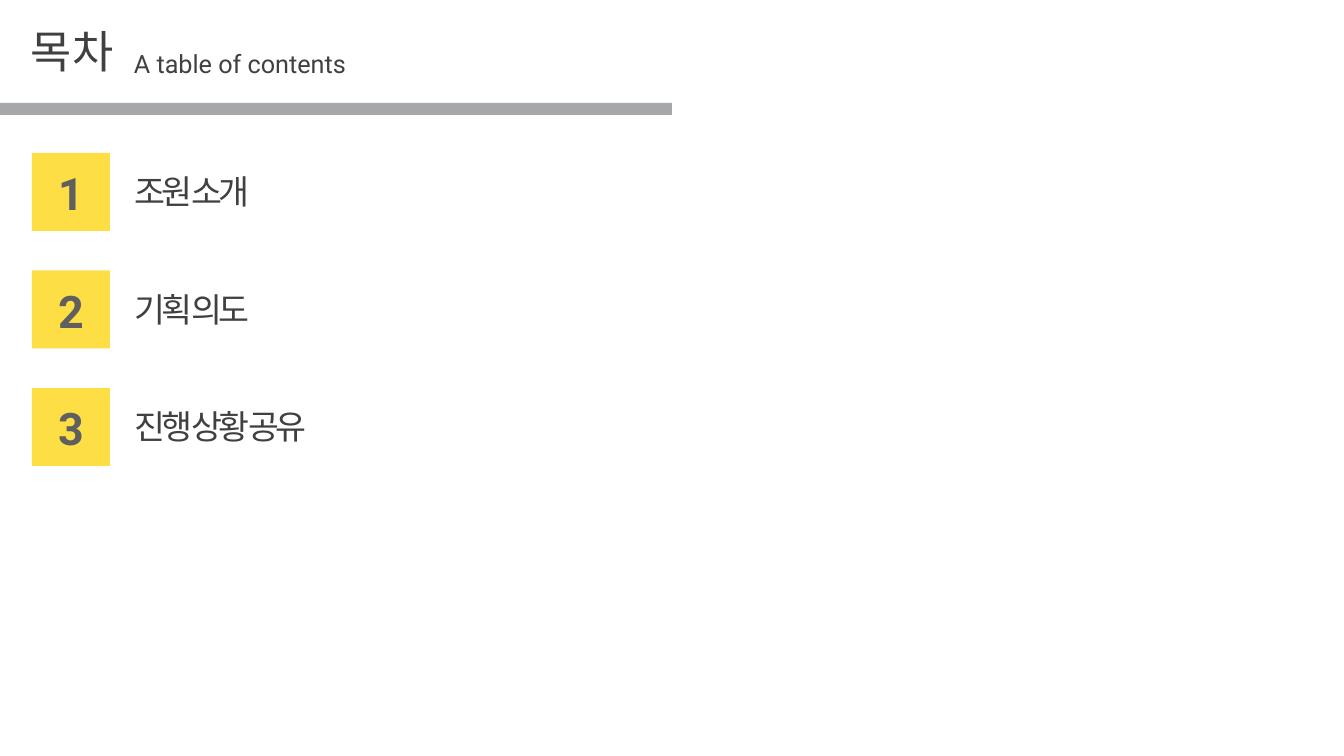
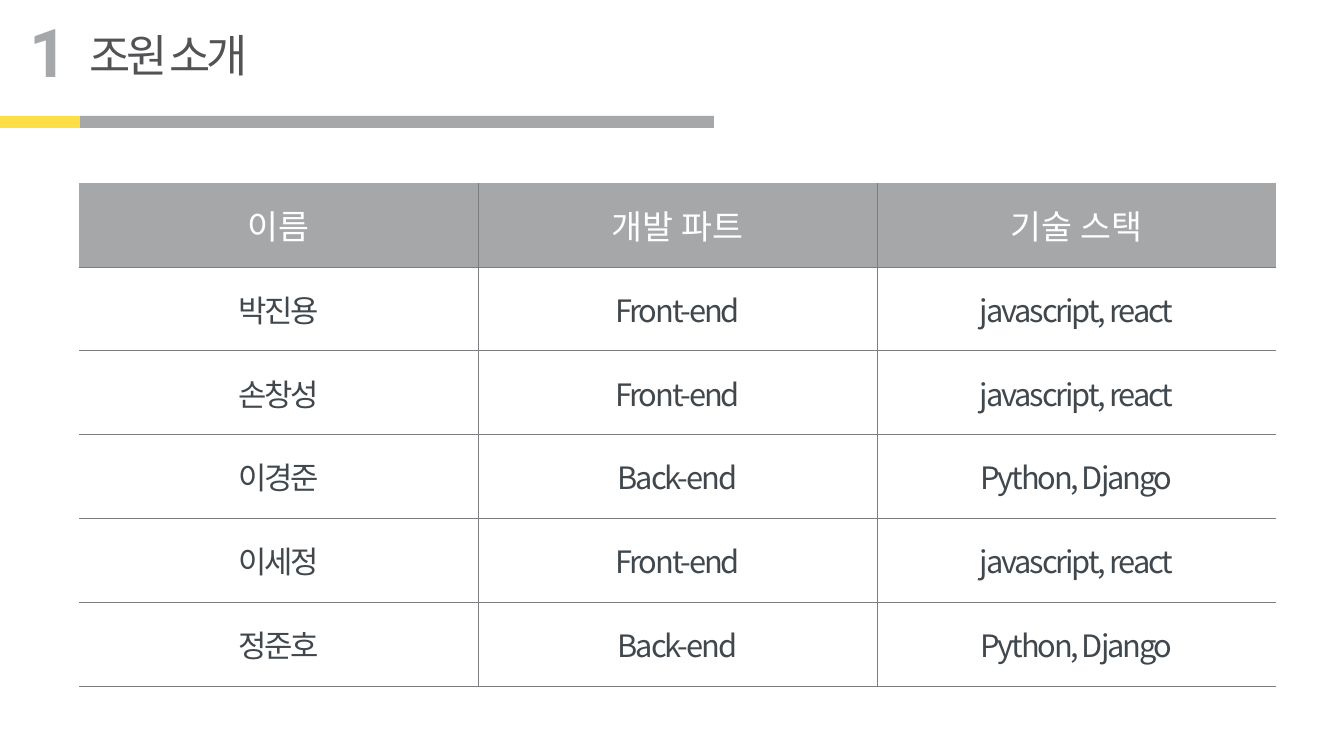
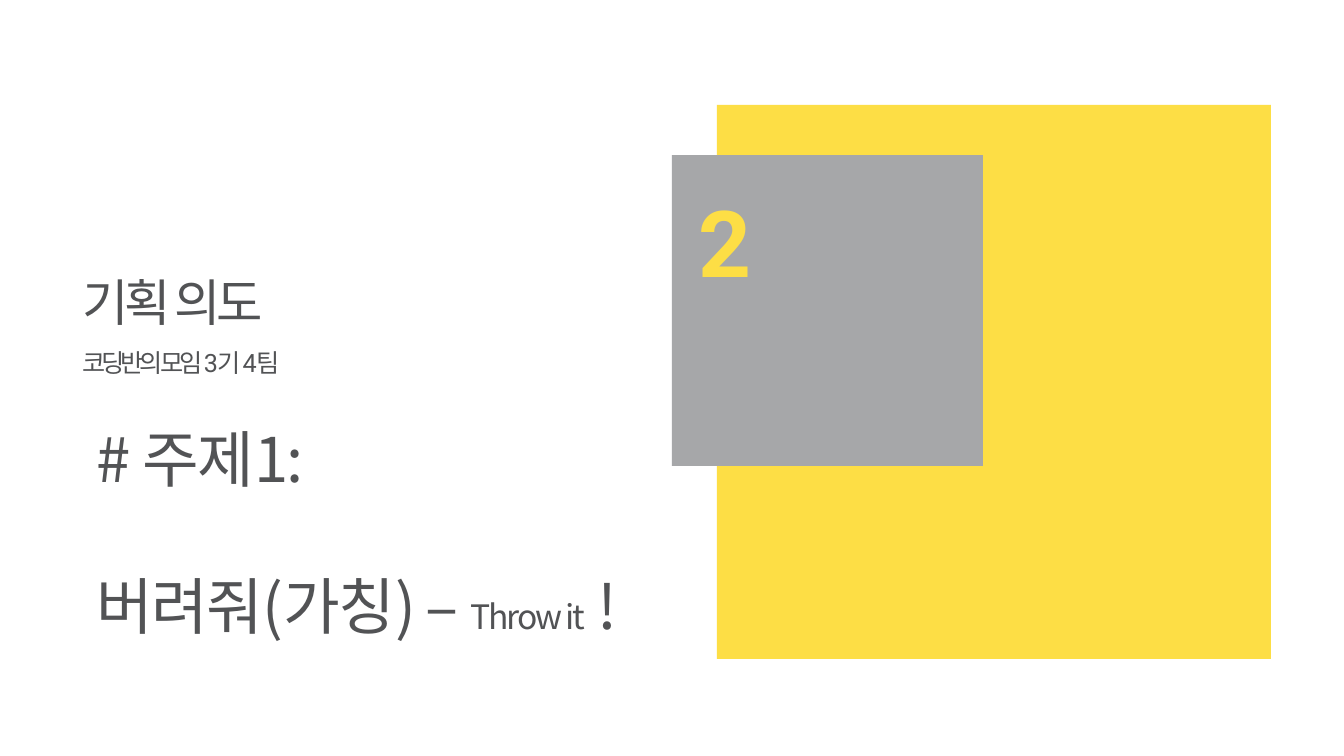
from lxml import etree
from pptx import Presentation
from pptx.dml.color import RGBColor
from pptx.enum.shapes import MSO_SHAPE
from pptx.enum.text import MSO_ANCHOR, MSO_AUTO_SIZE, PP_ALIGN
from pptx.oxml.ns import qn
from pptx.util import Emu, Pt

# Content
CONTENTS_TITLE = ("목차", "A table of contents")
SECTIONS = ["조원 소개", "기획 의도", "진행 상황 공유"]
HEADINGS = ("이름", "개발 파트", "기술 스택")
MEMBERS = [
    ("박진용", "Front-end", "javascript, react"),
    ("손창성", "Front-end", "javascript, react"),
    ("이경준", "Back-end", "Python, Django"),
    ("이세정", "Front-end", "javascript, react"),
    ("정준호", "Back-end", "Python, Django"),
]
TEAM = "코딩반의 모임 3기 4팀"
TOPIC = "# 주제1:"
TOPIC_NAME = ("버려줘(가칭) – ", "Throw it", " !")

# Shared look
YELLOW = RGBColor(0xFD, 0xDE, 0x45)
GRAY = RGBColor(0xA6, 0xA7, 0xA9)
DARK = RGBColor(0x40, 0x40, 0x40)
BADGE_TEXT = RGBColor(0x5F, 0x5F, 0x5F)
TITLE_TEXT = RGBColor(0x52, 0x53, 0x55)
CELL_TEXT = RGBColor(0x40, 0x47, 0x4D)
RULE = RGBColor(0x7B, 0x7D, 0x80)
WHITE = RGBColor(0xFF, 0xFF, 0xFF)
LATIN, KOREAN = "Roboto", "Noto Sans CJK KR"
EMU_PER_PX = 914400 / 100.8
BAR_H = 12


def px(*values):
    return [Emu(round(v * EMU_PER_PX)) for v in values]


def add_run(p, text, size, color, bold=False, name=LATIN, spacing=0):
    r = p.add_run()
    r.text = text
    for key, value in {"size": Pt(size), "bold": bold, "name": name}.items():
        setattr(r.font, key, value)
    r.font.color.rgb = color
    rPr = r._r.get_or_add_rPr()
    if spacing:
        rPr.set("spc", str(round(spacing * 100)))
    rPr.find(qn("a:latin")).addnext(
        etree.Element(qn("a:ea"), typeface=KOREAN))


def add_text(shapes, box, text, size, color, wrap=False,
             align=PP_ALIGN.LEFT, **fmt):
    tf = shapes.add_textbox(*px(*box)).text_frame
    tf.word_wrap = wrap
    tf.auto_size = MSO_AUTO_SIZE.SHAPE_TO_FIT_TEXT
    p = tf.paragraphs[0]
    p.alignment = align
    add_run(p, text, size, color, **fmt)
    return tf


def add_rect(shapes, box, color):
    sp = shapes.add_shape(MSO_SHAPE.RECTANGLE, *px(*box))
    sp.shadow.inherit = False
    sp.fill.solid()
    sp.fill.fore_color.rgb = color
    sp.line.fill.background()


def set_borders(cell, edges):
    tcPr = cell._tc.get_or_add_tcPr()
    for edge, shown in edges.items():
        ln = etree.SubElement(tcPr, qn(f"a:ln{edge}"), w=str(Pt(0.5)))
        if shown:
            fill = etree.SubElement(ln, qn("a:solidFill"))
            etree.SubElement(fill, qn("a:srgbClr"), val=str(RULE))
        else:
            etree.SubElement(ln, qn("a:noFill"))


def add_grid(shapes, rows, left, top, col_w, row_h):
    cols = len(rows[0])
    table = shapes.add_table(len(rows), cols, *px(
        left, top, col_w * cols, row_h * len(rows))).table
    table.horz_banding = False
    table.first_row = rows[0] == HEADINGS
    for i, row in enumerate(rows):
        header = row == HEADINGS
        for j, text in enumerate(row):
            cell = table.cell(i, j)
            set_borders(cell, {"L": j > 0, "R": j < cols - 1,
                               "T": not header, "B": True})
            cell.fill.solid()
            cell.fill.fore_color.rgb = GRAY if header else WHITE
            cell.vertical_anchor = MSO_ANCHOR.MIDDLE
            p = cell.text_frame.paragraphs[0]
            p.alignment = PP_ALIGN.CENTER
            size, color, spacing = ((24, WHITE, 0) if header
                                    else (22, CELL_TEXT, -1.5))
            add_run(p, text, size, color, name=KOREAN, spacing=spacing)


prs = Presentation()
prs.slide_width, prs.slide_height = px(1344, 756)
contents, members, intent = [
    prs.slides.add_slide(prs.slide_layouts[6]).shapes for _ in range(3)]

# Contents: heading and numbered sections
add_rect(contents, (0, 103, 672, BAR_H), GRAY)
title, subtitle = CONTENTS_TITLE
add_text(contents, (21, 19, 103, 64), title, 32, DARK)
add_text(contents, (124, 43, 357, 40), subtitle, 18, DARK, wrap=True)
BADGE, BADGE_TOP, PITCH = 78, 153, 117.5
for i, section in enumerate(SECTIONS):
    y = BADGE_TOP + i * PITCH
    item = contents.add_group_shape().shapes
    add_rect(item, (32, y, BADGE, BADGE), YELLOW)
    add_text(item, (48, y + 8, 46, 64), str(i + 1), 32, BADGE_TEXT,
             align=PP_ALIGN.CENTER, bold=True)
    add_text(item, (125, y + 13, 278, 50), section, 24, DARK, wrap=True,
             spacing=-3)

# Members: heading and table, with the last member in a table of its own
add_rect(members, (80, 116, 634, BAR_H), GRAY)
add_rect(members, (0, 116, 80, BAR_H), YELLOW)
add_text(members, (80, 23, 193, 64), SECTIONS[0], 32, TITLE_TEXT, spacing=-3)
add_text(members, (20, 5, 58, 92), "1", 48, GRAY, bold=True)
GRID_LEFT, GRID_TOP, COL_W, ROW_H = 79, 183, 399, 83.9
main_rows = [HEADINGS] + MEMBERS[:-1]
add_grid(members, main_rows, GRID_LEFT, GRID_TOP, COL_W, ROW_H)
add_grid(members, MEMBERS[-1:], GRID_LEFT,
         GRID_TOP + ROW_H * len(main_rows), COL_W, ROW_H)

# Intent: section divider with the topic
add_rect(intent, (717, 105, 554, 554), YELLOW)
add_rect(intent, (672, 155, 311, 311), GRAY)
add_text(intent, (73, 266, 217, 72), SECTIONS[1], 36, TITLE_TEXT, spacing=-3)
add_text(intent, (73, 342, 269, 40), TEAM, 18, TITLE_TEXT, wrap=True,
         spacing=-3)
add_text(intent, (689, 180, 74, 122), "2", 66, YELLOW, bold=True)
topic_fmt = {"name": KOREAN, "spacing": -1.5}
tf = add_text(intent, (87, 416, 675, 234), TOPIC, 44, TITLE_TEXT, wrap=True,
              **topic_fmt)
p = tf.add_paragraph()
p.line_spacing = Pt(105)
for text, size in zip(TOPIC_NAME, (44, 24, 44)):
    add_run(p, text, size, TITLE_TEXT, **topic_fmt)

prs.save("out.pptx")
